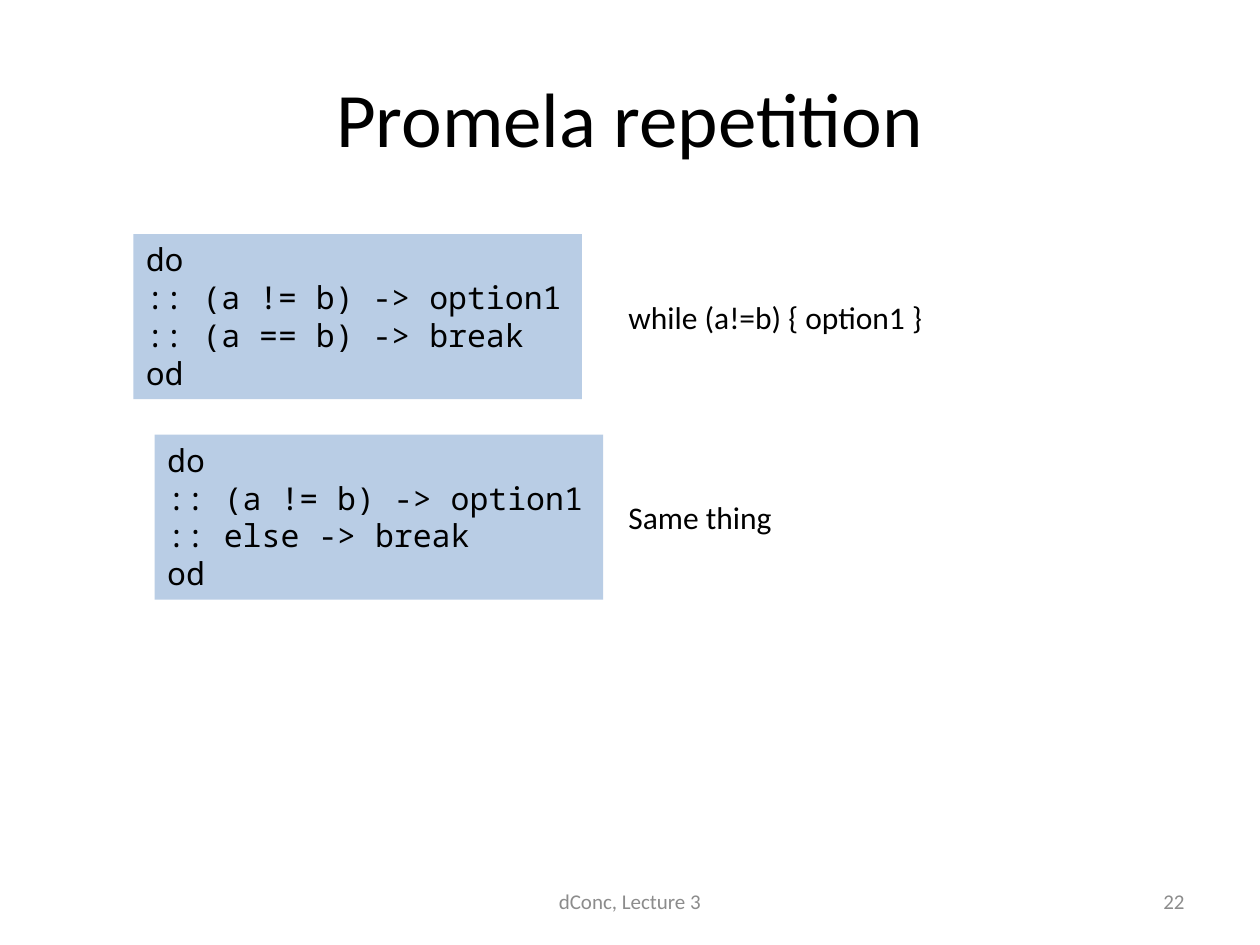
from pptx import Presentation
from pptx.dml.color import RGBColor
from pptx.enum.shapes import MSO_SHAPE
from pptx.enum.text import MSO_ANCHOR, MSO_AUTO_SIZE, PP_ALIGN
from pptx.util import Cm, Pt

BLACK = RGBColor(0, 0, 0)
GREY = RGBColor(0x8C, 0x8C, 0x8C)
BLUE = RGBColor(0xB9, 0xCD, 0xE5)
SANS = "Calibri"
MONO = "Noto Sans Mono"
LEFT, CENTER, RIGHT = PP_ALIGN.LEFT, PP_ALIGN.CENTER, PP_ALIGN.RIGHT
TOP, MIDDLE = MSO_ANCHOR.TOP, MSO_ANCHOR.MIDDLE
GROW = MSO_AUTO_SIZE.SHAPE_TO_FIT_TEXT
RECT = MSO_SHAPE.RECTANGLE

CODE_W, CODE_H = 9.04, 3.33
NOTE_W, NOTE_H = 9.75, 1.02
NOTE_X = 12.42

# Left, top, code and its meaning
LOOPS = [
    (2.69, 4.72, "do\n:: (a != b) -> option1\n:: (a == b) -> break\nod",
     "while (a!=b) { option1 }"),
    (3.12, 8.76, "do\n:: (a != b) -> option1\n:: else -> break\nod",
     "Same thing"),
]


def write(shape, text, size=18, font=SANS, color=BLACK, align=LEFT,
          anchor=TOP, wrap=True, fit=None):
    """Fill a shape with text, one paragraph for each line."""
    frame = shape.text_frame
    frame.text = text
    frame.word_wrap = wrap
    frame.vertical_anchor = anchor
    if fit is not None:
        frame.auto_size = fit
    for para in frame.paragraphs:
        para.alignment = align
        for run in para.runs:
            run.font.size = Pt(size)
            run.font.name = font
            run.font.color.rgb = color


def add_text(slide, box, text, **style):
    area = slide.shapes.add_textbox(*map(Cm, box))
    write(area, text, **style)


def add_code(slide, box, text):
    panel = slide.shapes.add_shape(RECT, *map(Cm, box))
    panel.shadow.inherit = False
    panel.fill.solid()
    panel.fill.fore_color.rgb = BLUE
    panel.line.fill.background()
    write(panel, text, font=MONO, wrap=False, fit=GROW)


def add_loop(slide, left, top, code, note):
    """Place a code panel with its meaning centred beside it."""
    add_code(slide, (left, top, CODE_W, CODE_H), code)
    note_y = top + (CODE_H - NOTE_H) / 2
    add_text(slide, (NOTE_X, note_y, NOTE_W, NOTE_H), note, fit=GROW)


def add_footer(slide, top, height):
    style = dict(size=12, color=GREY, anchor=MIDDLE)
    add_text(slide, (8.68, top, 8.04, height), "dConc, Lecture 3",
             align=CENTER, **style)
    add_text(slide, (18.2, top, 5.93, height), "22", align=RIGHT, **style)


def main():
    deck = Presentation()
    deck.slide_width, deck.slide_height = Cm(25.4), Cm(19.05)
    slide = deck.slides.add_slide(deck.slide_layouts[6])
    add_text(slide, (1.27, 0.76, 22.86, 3.18), "Promela repetition",
             size=44, align=CENTER, anchor=MIDDLE)
    add_footer(slide, 17.66, 1.01)
    for loop in LOOPS:
        add_loop(slide, *loop)
    deck.save("out.pptx")


if __name__ == "__main__":
    main()
